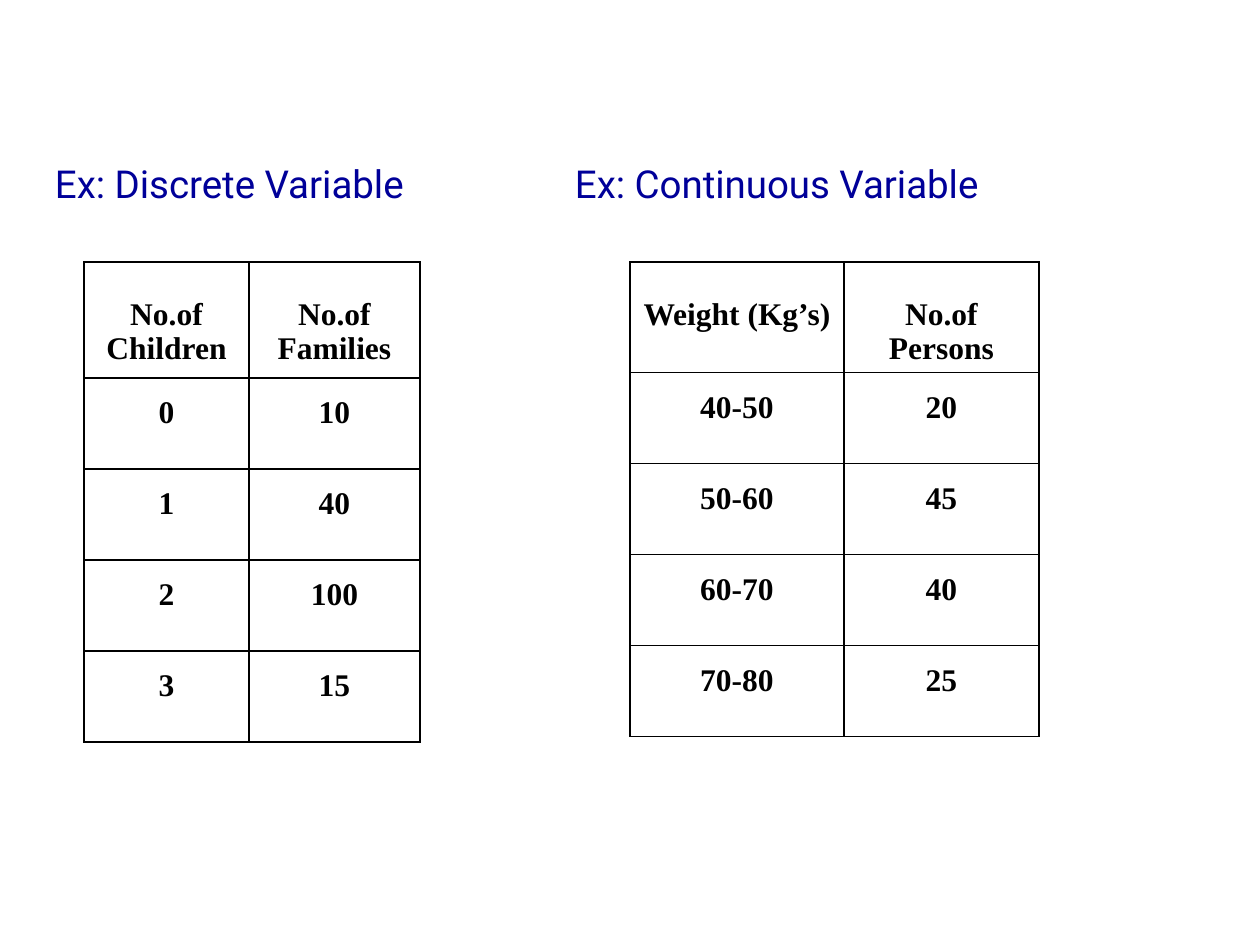
import dataclasses

import lxml.etree
import pptx
import pptx.dml.color
import pptx.enum.text
import pptx.oxml.ns
import pptx.util

SCALE = 914400 // 126


@dataclasses.dataclass(frozen=True)
class Theme:
    """Colours, fonts and type sizes."""
    title: str = "000099"
    ink: str = "000000"
    sans: str = "Roboto"
    serif: str = "Times New Roman"
    big: int = 22
    body: int = 18
    line: int = 1


THEME = Theme()


def px(size):
    """Turn px into EMU."""
    return pptx.util.Emu(size * SCALE)


def style(para, face, size, color, bold=False):
    """Set the font of a paragraph."""
    font = para.font
    font.name, font.size, font.bold = face, pptx.util.Pt(size), bold
    font.color.rgb = pptx.dml.color.RGBColor.from_string(color)


def add_title(slide, left, text):
    """Add the heading above a table."""
    box = slide.shapes.add_textbox(px(left), px(160), px(480), px(46))
    frame = box.text_frame
    frame.word_wrap = True
    frame.margin_left = frame.margin_right = 0
    frame.margin_top = frame.margin_bottom = 0
    para = frame.paragraphs[0]
    para.text = text
    style(para, THEME.sans, THEME.big, THEME.title)


def add_edges(cell):
    """Draw a solid line on all sides of a cell."""
    props = cell._tc.get_or_add_tcPr()
    name = pptx.oxml.ns.qn
    for spot, side in enumerate(("lnL", "lnR", "lnT", "lnB")):
        line = lxml.etree.Element(name(f"a:{side}"), w=str(pptx.util.Pt(THEME.line)))
        fill = lxml.etree.SubElement(line, name("a:solidFill"))
        lxml.etree.SubElement(fill, name("a:srgbClr"), val=THEME.ink)
        props.insert(spot, line)


def fill_cell(cell, text, head):
    """Write and format one cell."""
    cell.fill.background()
    cell.margin_left = cell.margin_right = px(9)
    cell.margin_top = px(35 if head else 0)
    cell.margin_bottom = 0
    para = cell.text_frame.paragraphs[0]
    para.text = text
    para.alignment = pptx.enum.text.PP_ALIGN.CENTER
    para.line_spacing = 1.0 if head else 1.5
    style(para, THEME.serif, THEME.body, THEME.ink, True)
    add_edges(cell)


def add_grid(slide, left, widths, top_row, rows):
    """Add a frequency table with a taller header row."""
    highs = [top_row] + [91] * (len(rows) - 1)
    frame = slide.shapes.add_table(len(rows), len(widths), px(left), px(262),
                                   px(sum(widths)), px(sum(highs)))
    table = frame.table
    table.first_row = table.horz_banding = False
    for col, width in zip(table.columns, widths):
        col.width = px(width)
    for row, high in zip(table.rows, highs):
        row.height = px(high)
    for r, texts in enumerate(rows):
        for c, text in enumerate(texts):
            fill_cell(table.cell(r, c), text, r == 0)


def main():
    """Build the slide and save it."""
    deck = pptx.Presentation()
    deck.slide_width, deck.slide_height = px(1260), px(945)
    slide = deck.slides.add_slide(deck.slide_layouts[6])
    add_title(slide, 55, "Ex: Discrete Variable")
    add_title(slide, 575, "Ex: Continuous Variable")
    add_grid(slide, 630, (214, 195), 110, [
        ("Weight (Kg’s)", "No.of Persons"),
        ("40-50", "20"), ("50-60", "45"), ("60-70", "40"), ("70-80", "25")])
    add_grid(slide, 84, (165, 171), 116, [
        ("No.of Children", "No.of Families"),
        ("0", "10"), ("1", "40"), ("2", "100"), ("3", "15")])
    deck.save("out.pptx")


if __name__ == "__main__":
    main()
